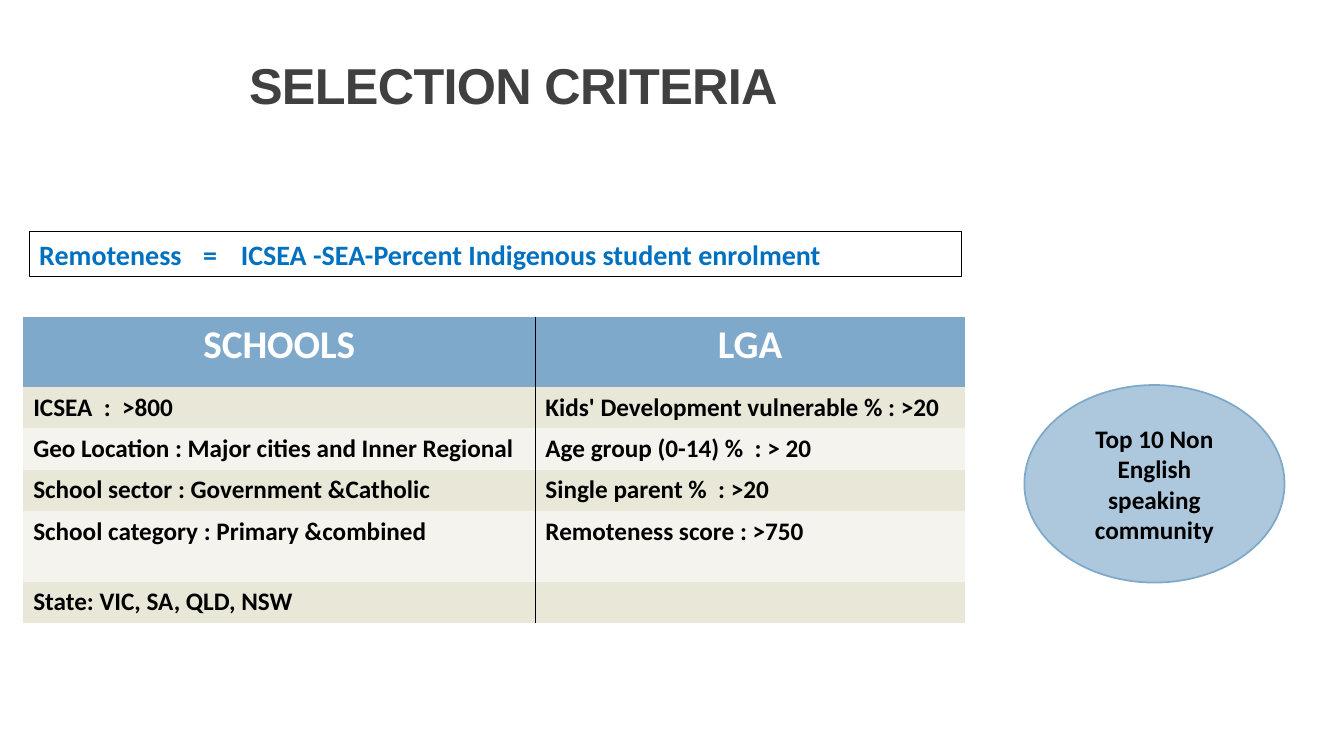
from dataclasses import dataclass

import pptx
import pptx.dml.color
import pptx.enum.shapes
import pptx.enum.text
import pptx.oxml
import pptx.oxml.ns
import pptx.util

Inches = pptx.util.Inches
Pt = pptx.util.Pt
RGBColor = pptx.dml.color.RGBColor
Align = pptx.enum.text.PP_ALIGN
Anchor = pptx.enum.text.MSO_ANCHOR
Preset = pptx.enum.shapes.MSO_SHAPE

BLACK = RGBColor(0, 0, 0)
WHITE = RGBColor(0xFF, 0xFF, 0xFF)
CHARCOAL = RGBColor(0x40, 0x40, 0x40)
BLUE = RGBColor(0x00, 0x70, 0xC0)
STEEL = RGBColor(0x7E, 0xA9, 0xCA)
PALE_STEEL = RGBColor(0xAD, 0xC8, 0xDD)
BANDS = (RGBColor(0xE9, 0xE7, 0xD8), RGBColor(0xF4, 0xF3, 0xED))

NO_GRID_STYLE = "{2D5ABB26-0587-4C30-8999-92F81FD0307C}"
NAMESPACE = pptx.oxml.ns.nsdecls("a")


@dataclass(frozen=True)
class TextFormat:
    size: float
    color: RGBColor
    align: Align = Align.LEFT
    name: str = "Calibri"


@dataclass(frozen=True)
class Callout:
    preset: Preset
    box: tuple[float, float, float, float]
    text: str
    style: TextFormat
    line: RGBColor
    line_width: float
    fill: RGBColor | None = None


TITLE_TEXT = TextFormat(36, CHARCOAL, name="Arial")
HEADER_TEXT = TextFormat(28, WHITE, Align.CENTER)
CRITERIA_TEXT = TextFormat(18, BLACK)

CRITERIA = [
    ("SCHOOLS", "LGA"),
    ("ICSEA  :  >800", "Kids' Development vulnerable % : >20"),
    ("Geo Location : Major cities and Inner Regional", "Age group (0-14) %  : > 20"),
    ("School sector : Government &Catholic", "Single parent %  : >20"),
    ("School category : Primary &combined", "Remoteness score : >750"),
    ("State: VIC, SA, QLD, NSW", ""),
]
COLUMN_WIDTHS = (5.08, 4.26)
ROW_HEIGHTS = (0.7, 0.41, 0.41, 0.41, 0.7, 0.41)

REMOTENESS = Callout(
    Preset.RECTANGLE, (0.29, 2.3, 9.25, 0.44),
    "Remoteness \t  =\tICSEA -SEA-Percent Indigenous student enrolment",
    TextFormat(20, BLUE), BLACK, 0.75)
COMMUNITY = Callout(
    Preset.OVAL, (10.16, 3.82, 2.58, 1.96),
    "Top 10 Non English speaking community",
    TextFormat(18, BLACK, Align.CENTER), STEEL, 1.25, PALE_STEEL)


def write(frame: pptx.text.text.TextFrame, text: str, style: TextFormat) -> None:
    """Put one bold paragraph into a text frame."""
    paragraph = frame.paragraphs[0]
    paragraph.alignment = style.align
    if not text:
        return
    run = paragraph.add_run()
    run.text = text
    run.font.color.rgb = style.color
    for key, value in {"name": style.name, "size": Pt(style.size), "bold": True}.items():
        setattr(run.font, key, value)


def add_title(slide: pptx.slide.Slide) -> None:
    title = slide.shapes.title
    place = {"left": 2.37, "top": 0.58, "width": 7.16, "height": 1.35}
    for key, value in place.items():
        setattr(title, key, Inches(value))
    frame = title.text_frame
    frame.vertical_anchor = Anchor.TOP
    frame.auto_size = pptx.enum.text.MSO_AUTO_SIZE.NONE
    write(frame, "SELECTION CRITERIA", TITLE_TEXT)
    heading = frame.paragraphs[0]
    heading.line_spacing = 0.85
    heading.runs[0].font._element.set("spc", "-50")


def add_callout(slide: pptx.slide.Slide, callout: Callout) -> pptx.shapes.autoshape.Shape:
    shape = slide.shapes.add_shape(callout.preset, *map(Inches, callout.box))
    shape.shadow.inherit = False
    if callout.fill is None:
        shape.fill.background()
    else:
        shape.fill.solid()
        shape.fill.fore_color.rgb = callout.fill
    shape.line.color.rgb = callout.line
    shape.line.width = Pt(callout.line_width)
    shape.text_frame.word_wrap = True
    shape.text_frame.vertical_anchor = Anchor.MIDDLE
    write(shape.text_frame, callout.text, callout.style)
    return shape


def set_tab_stops(paragraph: pptx.text.text._Paragraph, stops: tuple[float, ...]) -> None:
    tabs = "".join(f'<a:tab pos="{Inches(stop)}" algn="l"/>' for stop in stops)
    paragraph._p.get_or_add_pPr().append(
        pptx.oxml.parse_xml(f"<a:tabLst {NAMESPACE}>{tabs}</a:tabLst>"))


def add_divider(cell: pptx.table._Cell, side: str) -> None:
    """Draw a 1 pt black border on one side of a cell."""
    border = pptx.oxml.parse_xml(
        f'<a:{side} {NAMESPACE} w="{Pt(1)}"><a:solidFill>'
        f'<a:srgbClr val="{BLACK}"/></a:solidFill></a:{side}>')
    cell._tc.get_or_add_tcPr().insert(0, border)


def add_criteria_table(slide: pptx.slide.Slide) -> None:
    table = slide.shapes.add_table(
        len(CRITERIA), len(COLUMN_WIDTHS), Inches(0.23), Inches(3.14),
        Inches(sum(COLUMN_WIDTHS)), Inches(sum(ROW_HEIGHTS))).table
    table.horz_banding = False
    table._tbl.tblPr.find(pptx.oxml.ns.qn("a:tableStyleId")).text = NO_GRID_STYLE
    for column, width in zip(table.columns, COLUMN_WIDTHS):
        column.width = Inches(width)
    for r, (criteria, height) in enumerate(zip(CRITERIA, ROW_HEIGHTS)):
        table.rows[r].height = Inches(height)
        for c, (text, side) in enumerate(zip(criteria, ("lnR", "lnL"))):
            cell = table.cell(r, c)
            cell.fill.solid()
            cell.fill.fore_color.rgb = BANDS[(r - 1) % 2] if r else STEEL
            write(cell.text_frame, text, CRITERIA_TEXT if r else HEADER_TEXT)
            add_divider(cell, side)


def main() -> None:
    deck = pptx.Presentation()
    deck.slide_width, deck.slide_height = Inches(13.33), Inches(7.5)
    slide = deck.slides.add_slide(deck.slide_layouts[5])

    # Heading and selection table
    add_title(slide)
    add_criteria_table(slide)

    # Remoteness formula, aligned on tab stops
    remoteness = add_callout(slide, REMOTENESS)
    set_tab_stops(remoteness.text_frame.paragraphs[0], (1.5, 2.0))

    # Community note
    add_callout(slide, COMMUNITY)

    deck.save("out.pptx")


if __name__ == "__main__":
    main()
